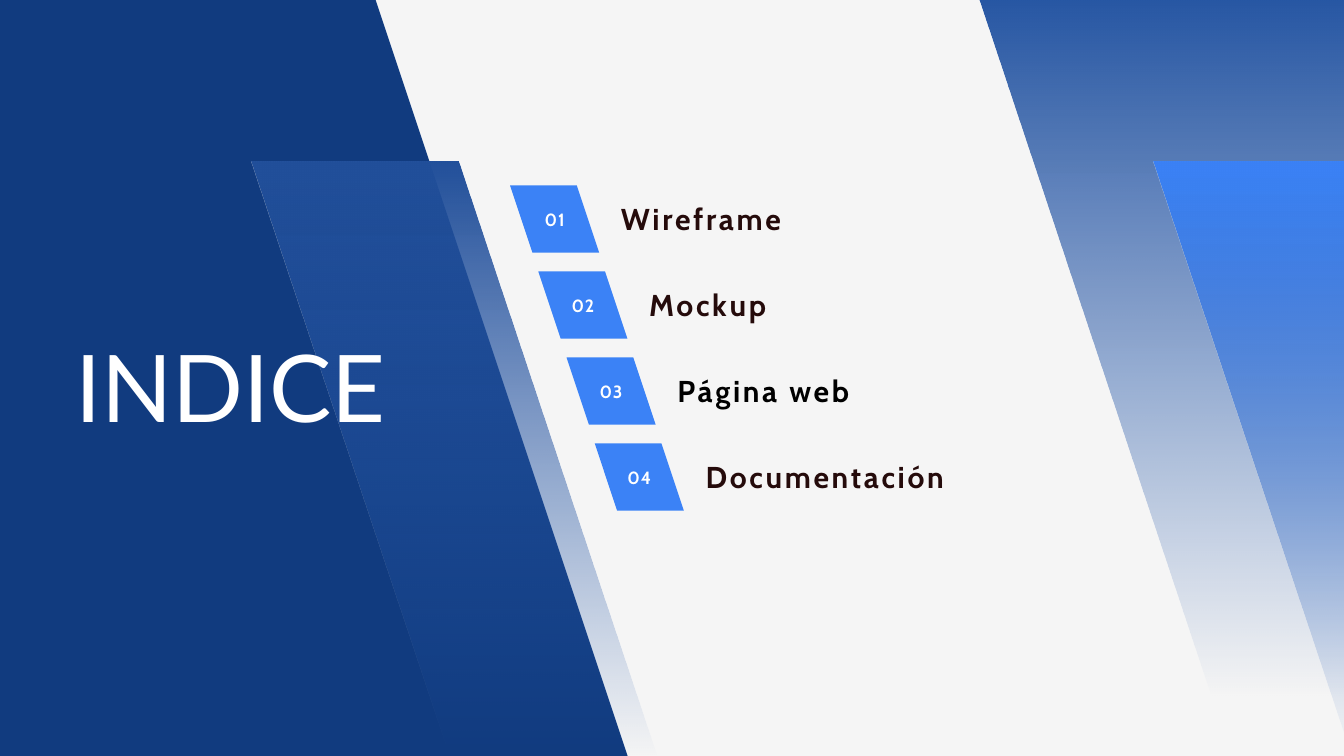
from lxml.etree import SubElement
from pptx import Presentation
from pptx.dml.color import RGBColor
from pptx.enum.text import MSO_ANCHOR as Anchor, MSO_AUTO_SIZE as Fit, PP_ALIGN as Align
from pptx.oxml.ns import qn
from pptx.util import Pt

WHITE = RGBColor(0xFF, 0xFF, 0xFF)
BLACK = RGBColor(0x00, 0x00, 0x00)
BROWN = RGBColor(0x25, 0x0B, 0x0B)
PAPER = RGBColor(0xF5, 0xF5, 0xF5)
NAVY = RGBColor(0x11, 0x3B, 0x7F)
AZURE = RGBColor(0x3B, 0x82, 0xF6)

BANDS = [
    (1049.8, 0, 554.2, 746, RGBColor(0x27, 0x57, 0xA4), RGBColor(0x29, 0x5B, 0xAD)),
    (1236.2, 172.8, 221.8, 638.6, AZURE, RGBColor(0x29, 0x5C, 0xAF)),
    (269.3, 172.8, 221.8, 638.6, RGBColor(0x22, 0x50, 0x9B), RGBColor(0x28, 0x5A, 0xAB)),
]
TOPICS = [("Wireframe", BROWN), ("Mockup", BROWN), ("Página web", BLACK), ("Documentación", BROWN)]
STEP, PITCH, LINE = 30.24, 92.16, 35.5


def slant(slide, left, top, wide, tall):
    """Draw a parallelogram that leans right by a third of its height."""
    lean, base = tall / 3, top + tall
    path = slide.shapes.build_freeform(Pt(left), Pt(top), scale=1.0)
    ends = [(left + wide, top), (left + wide + lean, base), (left + lean, base)]
    path.add_line_segments([(Pt(x), Pt(y)) for x, y in ends])
    shape = path.convert_to_shape()
    shape.shadow.inherit = False
    shape.line.fill.background()
    return shape


def paint(shape, color):
    """Fill a shape with one colour."""
    shape.fill.solid()
    shape.fill.fore_color.rgb = color


def fade(shape, start, end):
    """Fill a shape from a solid top to a clear bottom."""
    shape.fill.gradient()
    shape.fill.gradient_angle = 270
    for stop, color in zip(shape.fill.gradient_stops, (start, end)):
        stop.color.rgb = color
    clear = shape._element.xpath(".//a:gs[last()]/a:srgbClr")[0]
    SubElement(clear, qn("a:alpha"), val="0")


def style(para, face, size, color, line, bold=False, track=0):
    """Set the font, tracking and line height of a paragraph."""
    font = para.font
    font.name, font.size, font.bold = face, Pt(size), bold
    font.color.rgb = color
    font._rPr.set("spc", str(round(track * 100)))
    para.line_spacing = Pt(line)
    para.space_before = Pt(0)


def place(holder, left, top, wide, tall):
    """Move a placeholder, bring it to the front and return its frame."""
    holder.left, holder.top, holder.width, holder.height = map(Pt, (left, top, wide, tall))
    tree = holder._element.getparent()
    tree.append(holder._element)
    frame = holder.text_frame
    frame.margin_left = frame.margin_right = frame.margin_top = frame.margin_bottom = 0
    frame.vertical_anchor = Anchor.TOP
    frame.auto_size = Fit.NONE
    frame.word_wrap = True
    return frame


def badge(slide, row):
    """Draw the numbered badge of a row."""
    shape = slant(slide, 546.5 + row * STEP, 198.7 + row * PITCH, 71.5, 72)
    paint(shape, AZURE)
    frame = shape.text_frame
    frame.margin_left = frame.margin_right = frame.margin_top = 0
    frame.margin_bottom = Pt(4)
    frame.vertical_anchor = Anchor.MIDDLE
    para = frame.paragraphs[0]
    para.text = f"{row + 1:02}"
    para.alignment = Align.CENTER
    style(para, "Cabin", 19, WHITE, 26.6, True, 0.9)


def title(slide):
    """Write the slide title."""
    para = place(slide.shapes.title, 80.6, 377.3, 410.4, 101.5).paragraphs[0]
    para.text = "INDICE"
    para.alignment = Align.LEFT
    style(para, "Lato", 100, WHITE, 95)


def topics(slide):
    """Write the list, each row indented one step further."""
    frame = place(slide.placeholders[1], 665.3, 218.2, 624, 312)
    for row, (text, color) in enumerate(TOPICS):
        para = frame.add_paragraph() if row else frame.paragraphs[0]
        para.text = text
        props = para._p.get_or_add_pPr()
        props.set("marL", str(Pt(row * STEP)))
        props.set("indent", "0")
        SubElement(props, qn("a:buNone"))
        style(para, "Cabin", 32.3, color, LINE, True, 2.9)
        if row:
            para.space_before = Pt(PITCH - LINE)


def main():
    """Build the index slide and save it."""
    deck = Presentation()
    deck.slide_width, deck.slide_height = Pt(1440), Pt(810)
    slide = deck.slides.add_slide(deck.slide_layouts[1])
    paint(slide.background, PAPER)
    paint(slant(slide, -407.5, 0, 810, 810), NAVY)
    for *area, start, end in BANDS:
        fade(slant(slide, *area), start, end)
    for row in range(len(TOPICS)):
        badge(slide, row)
    title(slide)
    topics(slide)
    deck.save("out.pptx")


if __name__ == "__main__":
    main()
